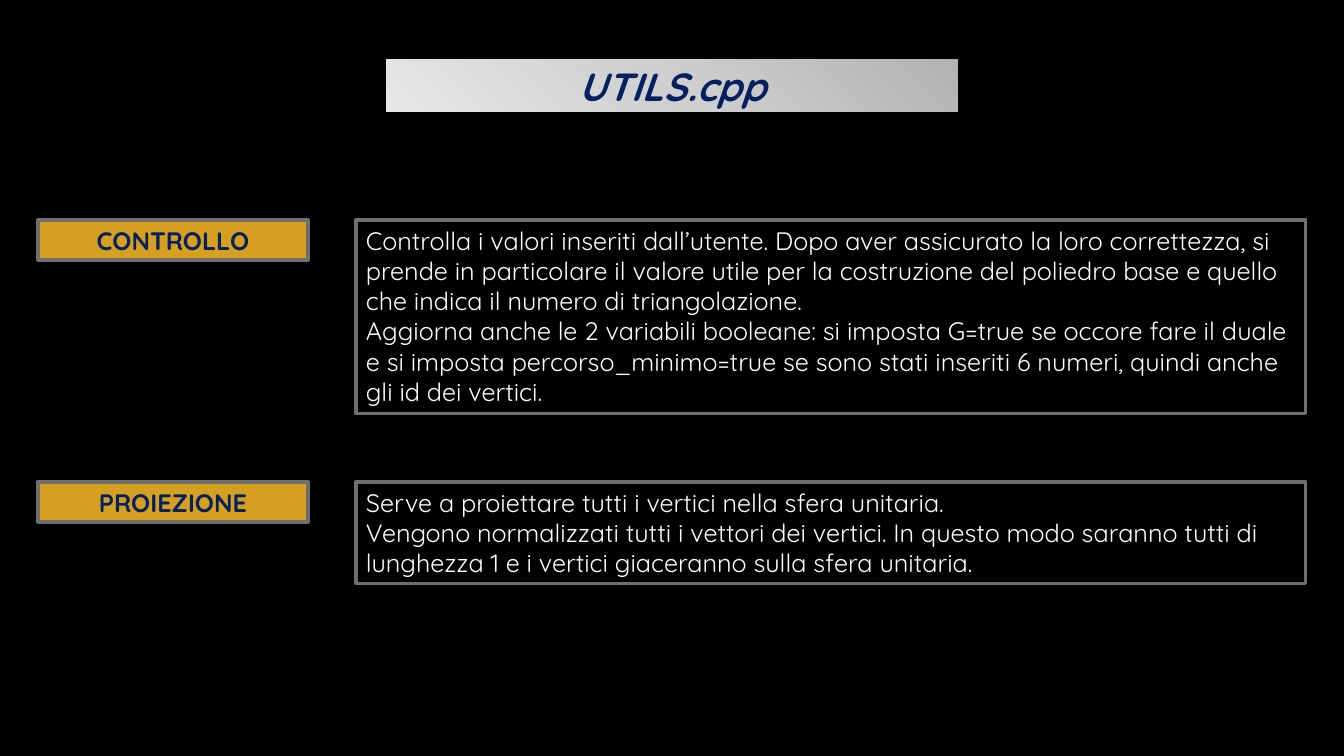
from copy import deepcopy

from pptx import Presentation
from pptx.dml.color import RGBColor
from pptx.enum.text import MSO_AUTO_SIZE as AutoSize, PP_ALIGN as Align
from pptx.util import Pt

TITLE = "UTILS.cpp"
# name, top, height of the description, description paragraphs
FUNCTIONS = [
    ("CONTROLLO", 220, 194, [
        "Controlla i valori inseriti dall’utente. Dopo aver assicurato la loro "
        "correttezza, si prende in particolare il valore utile per la costruzione "
        "del poliedro base e quello che indica il numero di triangolazione.",
        "Aggiorna anche le 2 variabili booleane: si imposta G=true se occore fare "
        "il duale e si imposta percorso_minimo=true se sono stati inseriti 6 numeri, "
        "quindi anche gli id dei vertici.",
    ]),
    ("PROIEZIONE", 482, 102, [
        "Serve a proiettare tutti i vertici nella sfera unitaria.",
        "Vengono normalizzati tutti i vettori dei vertici. In questo modo saranno "
        "tutti di lunghezza 1 e i vertici giaceranno sulla sfera unitaria.",
    ]),
]
BLACK, WHITE, NAVY, GOLD, GREY = "000000", "FFFFFF", "002060", "D59F20", "6F6F6F"
SILVER = [(0, "B2B2B2"), (0.5, "CFCFCF"), (1, "E7E7E7")]

SLIDE_W, SLIDE_H = 1344, 756
TITLE_W, TITLE_TOP, TITLE_H = 575, 57, 57
NAME_LEFT, NAME_W, NAME_H = 38, 270, 40
DESCRIPTION_LEFT, DESCRIPTION_W = 356, 950


def px(length):
    return round(length * 914400 / 100.8)


def rgb(color):
    return RGBColor.from_string(color)


def add_box(slide, left, top, width, height, texts, outline, color, size=18,
            bold=None, italic=None, align=None):
    box = slide.shapes.add_textbox(px(left), px(top), px(width), px(height))
    box.line.color.rgb = rgb(outline)
    box.line.width = Pt(2.25)
    frame = box.text_frame
    frame.word_wrap = True
    frame.auto_size = AutoSize.SHAPE_TO_FIT_TEXT
    frame.text = "\n".join(texts)
    for paragraph in frame.paragraphs:
        paragraph.alignment = align
        font = paragraph.font
        font.name, font.size = "Quicksand", Pt(size)
        font.bold, font.italic = bold, italic
        font.color.rgb = rgb(color)
    return box


def fill_gradient(box, stops, angle):
    """Fill with any number of stops; the angle runs counter-clockwise."""
    box.fill.gradient()
    box.fill.gradient_angle = angle
    stop_list = box.fill._xPr.gradFill.gsLst
    while len(stop_list) < len(stops):
        stop_list.append(deepcopy(stop_list[0]))
    for stop, (position, color) in zip(box.fill.gradient_stops, stops):
        stop.position = position
        stop.color.rgb = rgb(color)


def main():
    deck = Presentation()
    deck.slide_width, deck.slide_height = px(SLIDE_W), px(SLIDE_H)
    slide = deck.slides.add_slide(deck.slide_layouts[6])
    slide.background.fill.solid()
    slide.background.fill.fore_color.rgb = rgb(BLACK)

    title = add_box(slide, (SLIDE_W - TITLE_W) / 2, TITLE_TOP, TITLE_W, TITLE_H,
                    [TITLE], BLACK, NAVY, 28, True, True, Align.CENTER)
    fill_gradient(title, SILVER, 225)

    for name, top, height, description in FUNCTIONS:
        label = add_box(slide, NAME_LEFT, top, NAME_W, NAME_H, [name],
                        GREY, NAVY, bold=True, align=Align.CENTER)
        label.fill.solid()
        label.fill.fore_color.rgb = rgb(GOLD)
        add_box(slide, DESCRIPTION_LEFT, top, DESCRIPTION_W, height, description,
                GREY, WHITE)

    deck.save("out.pptx")


if __name__ == "__main__":
    main()
